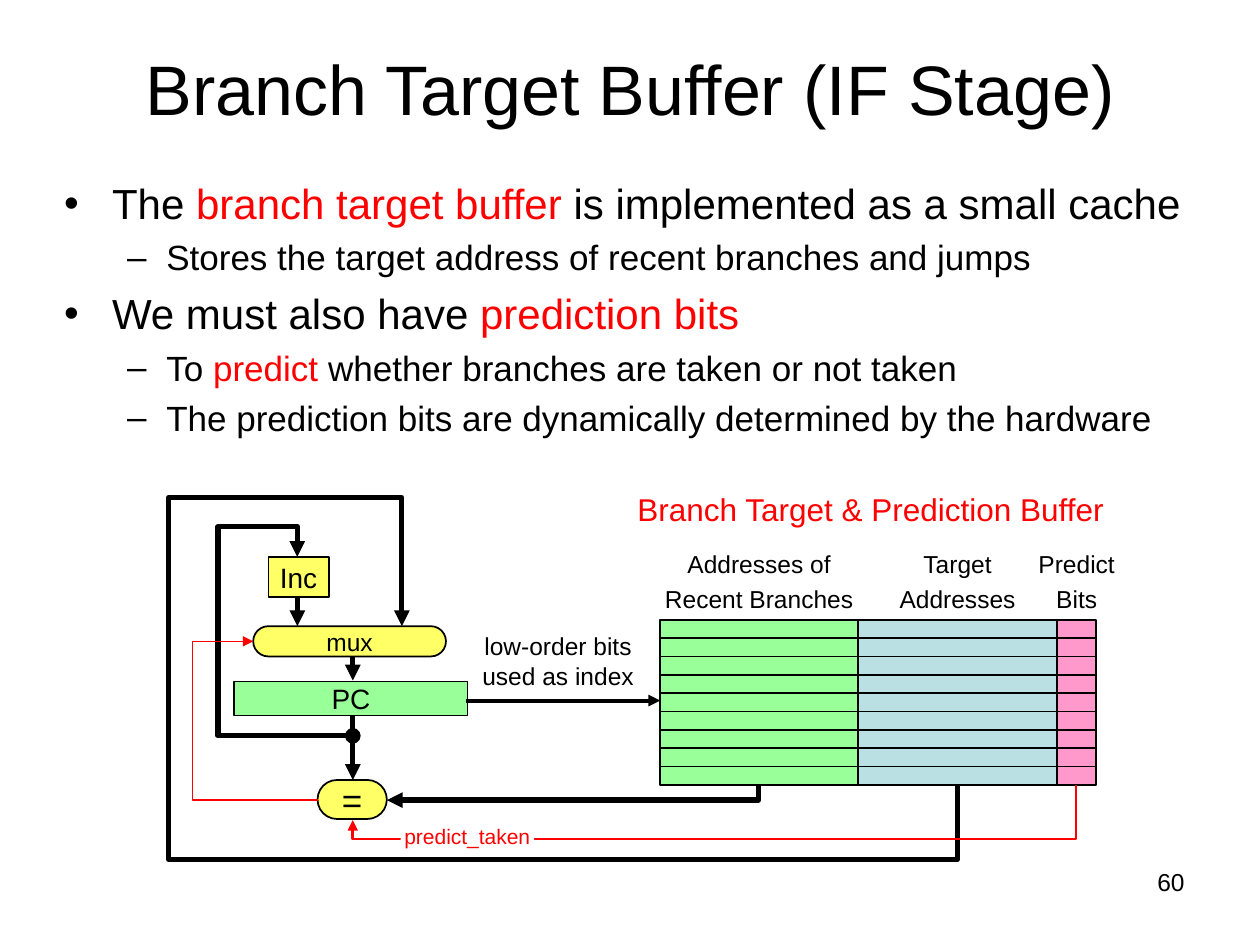
from dataclasses import dataclass

from lxml import etree
from pptx import Presentation
from pptx.dml.color import RGBColor
from pptx.enum.shapes import MSO_CONNECTOR, MSO_SHAPE
from pptx.enum.text import MSO_ANCHOR, PP_ALIGN
from pptx.oxml.ns import qn
from pptx.util import Inches, Pt

RECT, PILL = MSO_SHAPE.RECTANGLE, MSO_SHAPE.ROUNDED_RECTANGLE
STRAIGHT = MSO_CONNECTOR.STRAIGHT
LEFT, CENTER, RIGHT = PP_ALIGN.LEFT, PP_ALIGN.CENTER, PP_ALIGN.RIGHT
TOP, MIDDLE = MSO_ANCHOR.TOP, MSO_ANCHOR.MIDDLE


@dataclass(frozen=True)
class Theme:
    font: str = "Arial"
    black: str = "000000"
    white: str = "FFFFFF"
    red: str = "FF0000"
    yellow: str = "FFFF66"
    green: str = "99FF99"
    blue: str = "BBE0E3"
    pink: str = "FF99CC"
    title: int = 40
    bullet: int = 24
    sub_bullet: int = 20
    heading: int = 18
    block: int = 16
    label: int = 14
    signal: int = 12


@dataclass(frozen=True)
class Box:
    left: float
    top: float
    width: float
    height: float

    def inside(self, left, top, width, height):
        return Box(self.left + left, self.top + top, width, height)

    def point(self, x, y):
        return Inches(self.left + x), Inches(self.top + y)

    def lengths(self):
        return [Inches(n) for n in (self.left, self.top, self.width, self.height)]


THEME = Theme()


def write(frame, paragraphs, size=THEME.label, color=THEME.black, align=CENTER,
          anchor=MIDDLE, spacing=None, insets=(0, 0)):
    """Fill a frame; each paragraph is a string or a list of (text, color) spans."""
    frame.word_wrap = True
    frame.vertical_anchor = anchor
    frame.margin_left = frame.margin_right = Inches(insets[0])
    frame.margin_top = frame.margin_bottom = Inches(insets[1])
    for index, content in enumerate(paragraphs):
        para = frame.add_paragraph() if index else frame.paragraphs[0]
        para.alignment = align
        if spacing:
            para.line_spacing = spacing
        spans = [(content, color)] if isinstance(content, str) else content
        for text, span_color in spans:
            span = para.add_run()
            span.text = text
            span.font.name = THEME.font
            span.font.size = Pt(size)
            span.font.color.rgb = RGBColor.from_string(span_color)


def add_text(page, box, paragraphs, **style):
    frame = page.shapes.add_textbox(*box.lengths()).text_frame
    write(frame, paragraphs, **style)
    return frame


def add_block(page, box, fill, text=None, shape=RECT, outlined=True, **style):
    block = page.shapes.add_shape(shape, *box.lengths())
    block.shadow.inherit = False
    if shape == PILL:
        block.adjustments[0] = 0.5
    block.fill.solid()
    block.fill.fore_color.rgb = RGBColor.from_string(fill)
    if outlined:
        block.line.color.rgb = RGBColor.from_string(THEME.black)
        block.line.width = Pt(1)
    else:
        block.line.fill.background()
    if text:
        write(block.text_frame, [text], **style)


def add_wire(page, box, points, color=THEME.black, width=3, head=None, tail="triangle"):
    """Draw a line through points given relative to the box."""
    start, *rest = [box.point(*point) for point in points]
    if len(rest) == 1:
        wire = page.shapes.add_connector(STRAIGHT, *start, *rest[0])
        etree.SubElement(wire.line._get_or_add_ln().getparent(), qn("a:effectLst"))
    else:
        builder = page.shapes.build_freeform(*start)
        builder.add_line_segments(rest, close=False)
        wire = builder.convert_to_shape()
        wire.shadow.inherit = False
        wire.fill.background()
    wire.line.color.rgb = RGBColor.from_string(color)
    wire.line.width = Pt(width)
    for tag, end in (("a:headEnd", head), ("a:tailEnd", tail)):
        if end:
            etree.SubElement(wire.line._get_or_add_ln(), qn(tag), type=end)


def add_bullets(page, box):
    black, red = THEME.black, THEME.red
    items = [
        (0, [("The ", black), ("branch target buffer", red),
             (" is implemented as a small cache", black)]),
        (1, [("Stores the target address of recent branches and jumps", black)]),
        (0, [("We must also have ", black), ("prediction bits", red)]),
        (1, [("To ", black), ("predict ", red),
             ("whether branches are taken or not taken", black)]),
        (1, [("The prediction bits are dynamically determined by the hardware", black)]),
    ]
    levels = [(THEME.bullet, 0.38, -0.38, "•"), (THEME.sub_bullet, 0.81, -0.31, "–")]
    frame = add_text(page, box, [spans for _, spans in items],
                     align=LEFT, anchor=TOP, insets=(0, 0.05))
    for para, (level, _) in zip(frame.paragraphs, items):
        size, margin, indent, mark = levels[level]
        para.level = level
        para.space_before = Pt(round(size * 0.23, 1))
        for span in para.runs:
            span.font.size = Pt(size)
        properties = para._p.get_or_add_pPr()
        properties.set("marL", str(Inches(margin)))
        properties.set("indent", str(Inches(indent)))
        etree.SubElement(properties, qn("a:buFont"), typeface=THEME.font)
        etree.SubElement(properties, qn("a:buChar"), char=mark)


def add_buffer(page, box, rows=9):
    """Draw the columns of buffer entries with their headers above the box."""
    columns = [
        (1.57, THEME.green, ["Addresses of Recent Branches"]),
        (1.58, THEME.blue, ["Target", "Addresses"]),
        (0.31, THEME.pink, ["Predict", "Bits"]),
    ]
    left = 0
    for width, fill, header in columns:
        add_block(page, box.inside(left, 0, width, box.height), fill)
        for row in range(1, rows):
            y = row * box.height / rows
            add_wire(page, box, [(left, y), (left + width, y)], width=1, tail=None)
        header_width = max(width, 0.71)
        header_left = left + (width - header_width) / 2
        add_text(page, box.inside(header_left, -0.6, header_width, 0.54), header, spacing=1.2)
        left += width


def add_datapath(page, box):
    yellow = THEME.yellow
    add_block(page, box.inside(0.79, 0.47, 0.48, 0.32), yellow, "Inc", size=THEME.block)
    add_block(page, box.inside(0.67, 1.02, 1.53, 0.24), yellow, "mux", PILL)
    add_block(page, box.inside(0.52, 1.46, 1.85, 0.27), THEME.green, "PC", size=THEME.block)
    add_block(page, box.inside(1.18, 2.24, 0.55, 0.31), yellow, "=", PILL, size=THEME.sub_bullet)


def add_wires(page, box):
    inc, pc, target = 1.02, 1.46, 6.26
    thick = [
        [(4.68, 2.28), (4.68, 2.4), (1.73, 2.4)],
        [(pc, 1.26), (pc, 1.45)],
        [(inc, 0.78), (inc, 1.02)],
        [(pc, 1.73), (pc, 1.89), (0.39, 1.89), (0.39, 0.23), (inc, 0.23), (inc, 0.47)],
        [(target, 2.28), (target, 2.87), (0, 2.87), (0, 0), (1.85, 0), (1.85, 1.02)],
    ]
    for points in thick:
        add_wire(page, box, points)
    add_wire(page, box, [(pc, 1.89), (pc, 2.24)], head="oval")
    add_wire(page, box, [(2.36, 1.61), (3.9, 1.61)], width=2.25)
    add_wire(page, box, [(1.18, 2.4), (0.19, 2.4), (0.19, 1.14), (0.67, 1.14)],
             color=THEME.red, width=0.75)
    add_wire(page, box, [(7.2, 2.28), (7.2, 2.71), (pc, 2.71), (pc, 2.56)],
             color=THEME.red, width=1.5)


def add_diagram(page, box):
    add_datapath(page, box)
    add_buffer(page, box.inside(3.9, 0.97, 3.46, 1.31))
    add_wires(page, box)
    add_text(page, box.inside(3.62, -0.09, 3.9, 0.35), ["Branch Target & Prediction Buffer"],
             size=THEME.heading, color=THEME.red)
    add_text(page, box.inside(2.44, 1.06, 1.3, 0.47), ["low-order bits used as index"])
    add_block(page, box.inside(1.84, 2.57, 1.06, 0.24), THEME.white, "predict_taken",
              outlined=False, size=THEME.signal, color=THEME.red)


def main():
    deck = Presentation()
    deck.slide_width, deck.slide_height = Inches(10), Inches(7.5)
    page = deck.slides.add_slide(deck.slide_layouts[6])
    add_text(page, Box(0.5, 0.07, 9, 1.25), ["Branch Target Buffer (IF Stage)"],
             size=THEME.title, insets=(0.1, 0.05))
    add_bullets(page, Box(0.51, 1.36, 8.98, 2.69))
    add_diagram(page, Box(1.34, 3.95, 7.36, 2.87))
    add_text(page, Box(7.17, 6.83, 2.33, 0.52), ["60"],
             align=RIGHT, anchor=TOP, insets=(0.1, 0.05))
    deck.save("out.pptx")


if __name__ == "__main__":
    main()
